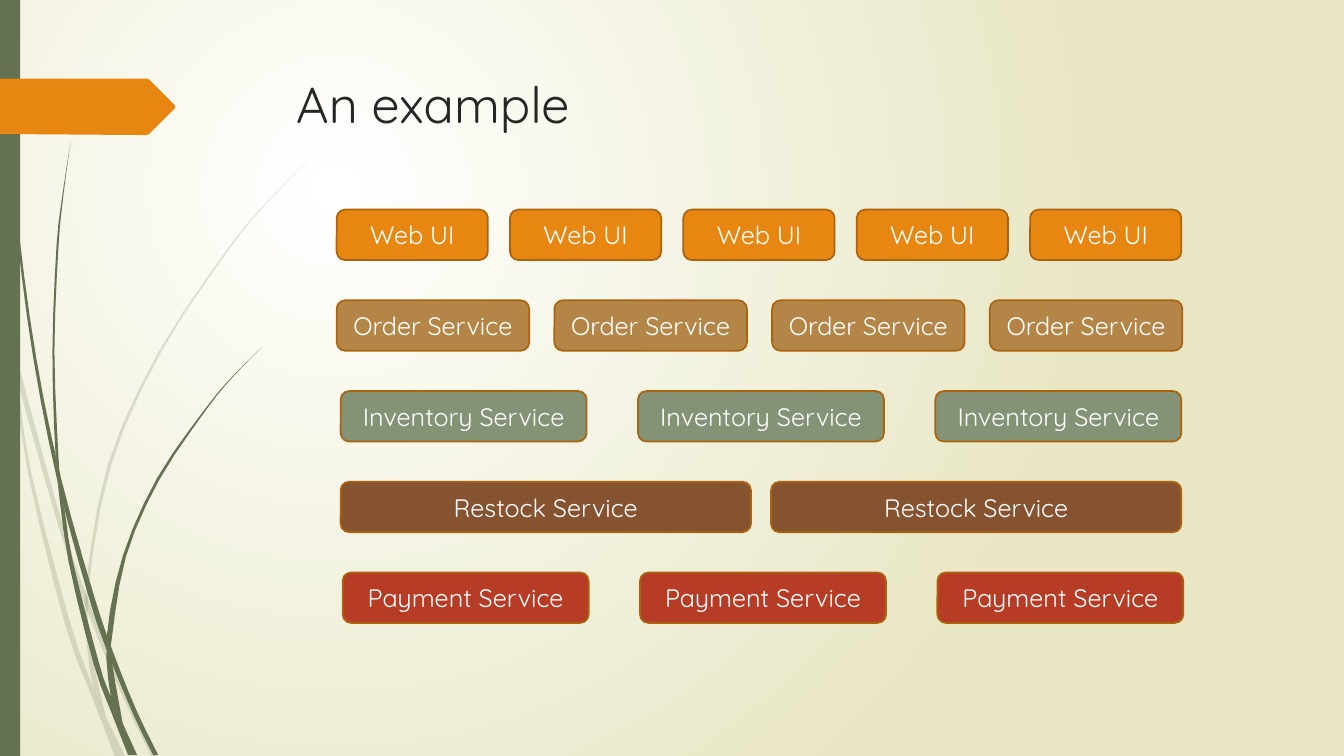
from dataclasses import dataclass

from lxml import etree
from pptx import Presentation
from pptx import util as u
from pptx.dml.color import RGBColor
from pptx.enum import shapes, text
from pptx.oxml.ns import qn
from pptx.slide import Slide

FONT = "Quicksand"
COLOURS = {
    "white": "FFFFFF", "cream": "E8E6C4", "title": "262626", "grass": "647252",
    "orange": "E78712", "border": "AB640D", "tan": "B38648", "sage": "849276",
    "brown": "865331", "red": "B73C26",
}
Points = list[tuple[float, float]]


@dataclass
class Blade:
    """A blade of grass: down one edge, then back up the other."""
    down: Points
    up: Points
    opacity: int = 100


@dataclass
class ServiceRow:
    label: str
    colour: str
    count: int
    left: float
    width: float
    pitch: float


BLADES = [
    # Pale blades
    Blade([(0, 2.82), (0.14, 3.45), (0.62, 5.2), (0.92, 6.07), (1.27, 6.92), (1.55, 7.5)],
          [(1.5, 7.5), (1.23, 6.94), (0.88, 6.1), (0.58, 5.22), (0.17, 3.76), (0, 2.99)], 20),
    Blade([(0.11, 3.5), (0.17, 3.76), (0.31, 4.69), (0.7, 6.19), (0.93, 6.83),
           (1.05, 7.11), (1.24, 7.5)],
          [(1.14, 7.5), (0.92, 6.93), (0.65, 6.21), (0.28, 4.7), (0.11, 3.5)], 20),
    Blade([(3.12, 1.53), (2.68, 1.97), (2.28, 2.44), (1.58, 3.48), (1.07, 4.61),
           (0.85, 5.84), (0.87, 6.46), (0.93, 6.83), (1.05, 7.11)],
          [(1.05, 7.11), (0.91, 6.46), (0.88, 5.84), (1.1, 4.62), (1.6, 3.49),
           (2.29, 2.45), (2.68, 1.98), (3.12, 1.53)], 20),
    # Dark blades
    Blade([(0.04, 0), (0.08, 1.09), (0.19, 2.32), (0.36, 3.55), (0.6, 4.72),
           (0.93, 5.9), (1.13, 6.49), (1.36, 7.06), (1.57, 7.49)],
          [(1.52, 7.49), (1.32, 7.08), (1.06, 6.45), (0.88, 5.92), (0.57, 4.77),
           (0.33, 3.55), (0.17, 2.33), (0.07, 1.1), (0.03, 0)]),
    Blade([(0.57, 4.77), (0.64, 5.05), (0.72, 5.56), (0.98, 6.57), (1.1, 6.91), (1.36, 7.49)],
          [(1.27, 7.49), (1.11, 7.08), (0.93, 6.59), (0.68, 5.57), (0.57, 4.77)]),
    Blade([(0.7, 1.41), (0.62, 1.93), (0.56, 2.45), (0.52, 3.49), (0.55, 4.49), (0.6, 4.72)],
          [(0.6, 4.72), (0.58, 4.53), (0.54, 3.49), (0.58, 2.45), (0.63, 1.93), (0.7, 1.41)]),
    Blade([(2.6, 3.44), (2.31, 3.73), (2.04, 4.05), (1.56, 4.74), (1.22, 5.51),
           (1.06, 6.31), (1.1, 6.91), (1.22, 7.19)],
          [(1.22, 7.19), (1.11, 6.56), (1.11, 6.33), (1.25, 5.52), (1.58, 4.76),
           (2.05, 4.06), (2.31, 3.74), (2.6, 3.44)]),
]
TITLE_ARROW = [(0, 0.78), (1.46, 0.78), (1.48, 0.79), (1.73, 1.04), (1.74, 1.06),
               (1.73, 1.08), (1.48, 1.33), (1.46, 1.34), (1.36, 1.34), (0, 1.33)]
ROWS = [
    ServiceRow("Web UI", "orange", 5, 3.34, 1.5, 1.72),
    ServiceRow("Order Service", "tan", 4, 3.34, 1.91, 2.16),
    ServiceRow("Inventory Service", "sage", 3, 3.38, 2.44, 2.95),
    ServiceRow("Restock Service", "brown", 2, 3.38, 4.07, 4.27),
    ServiceRow("Payment Service", "red", 3, 3.4, 2.44, 2.95),
]
ROW_TOP, ROW_PITCH, BOX_HEIGHT = 2.08, 0.9, 0.5


def rgb(colour: str) -> RGBColor:
    return RGBColor.from_string(COLOURS[colour])


def smooth(points: Points, steps: int = 3) -> Points:
    """Run a Catmull-Rom curve through the points."""
    padded = [points[0], *points, points[-1]]
    curve = [points[0]]
    for quad in zip(padded, padded[1:], padded[2:], padded[3:]):
        for step in range(1, steps + 1):
            t = step / steps
            x, y = (
                (2 * b + (c - a) * t + (2 * a - 5 * b + 4 * c - d) * t ** 2
                 + (3 * b - a - 3 * c + d) * t ** 3) / 2
                for a, b, c, d in zip(*quad)
            )
            curve.append((x, y))
    return curve


def paint(shape, colour: str, border: str | None = None) -> None:
    shape.shadow.inherit = False
    shape.fill.solid()
    shape.fill.fore_color.rgb = rgb(colour)
    if border:
        shape.line.color.rgb = rgb(border)
        shape.line.width = u.Pt(1.25)
    else:
        shape.line.fill.background()


def write(box, words: str, *, size: float, colour: str,
          align=text.PP_ALIGN.LEFT, anchor=text.MSO_ANCHOR.TOP) -> None:
    frame = box.text_frame
    frame.word_wrap = True
    frame.vertical_anchor = anchor
    para = frame.paragraphs[0]
    para.alignment = align
    span = para.add_run()
    span.text = words
    span.font.name = FONT
    span.font.size = u.Pt(size)
    span.font.color.rgb = rgb(colour)


def draw_outline(page: Slide, points: Points, colour: str, opacity: int = 100) -> None:
    corners = [(u.Inches(x), u.Inches(y)) for x, y in points]
    builder = page.shapes.build_freeform(*corners[0])
    builder.add_line_segments(corners[1:], close=True)
    outline = builder.convert_to_shape()
    paint(outline, colour)
    if opacity < 100:
        tint = outline.element.spPr.find(qn("a:solidFill")).find(qn("a:srgbClr"))
        etree.SubElement(tint, qn("a:alpha"), val=str(opacity * 1000))


def draw_background(page: Slide) -> None:
    fill = page.background.fill
    fill.gradient()
    for stop, colour in zip(fill.gradient_stops, ("white", "cream")):
        stop.color.rgb = rgb(colour)
    gradient = page.element.find(".//" + qn("a:gradFill"))
    linear = gradient.find(qn("a:lin"))
    radial = etree.Element(qn("a:path"), path="circle")
    etree.SubElement(radial, qn("a:fillToRect"), l="50000", t="50000", r="100000", b="100000")
    gradient.replace(linear, radial)


def draw_row(page: Slide, row: ServiceRow, top: float) -> None:
    for column in range(row.count):
        box = page.shapes.add_shape(
            shapes.MSO_SHAPE.ROUNDED_RECTANGLE,
            u.Inches(row.left + column * row.pitch), u.Inches(top),
            u.Inches(row.width), u.Inches(BOX_HEIGHT))
        paint(box, row.colour, "border")
        write(box, row.label, size=18, colour="white",
              align=text.PP_ALIGN.CENTER, anchor=text.MSO_ANCHOR.MIDDLE)


def main() -> None:
    deck = Presentation()
    deck.slide_width, deck.slide_height = u.Inches(40 / 3), u.Inches(7.5)
    page = deck.slides.add_slide(deck.slide_layouts[6])

    # Backdrop: gradient, grass, side bar and arrow
    draw_background(page)
    for blade in BLADES:
        draw_outline(page, smooth(blade.down) + smooth(blade.up), "grass", blade.opacity)
    bar = page.shapes.add_shape(shapes.MSO_SHAPE.RECTANGLE, 0, 0, u.Inches(0.2), u.Inches(7.5))
    paint(bar, "grass")
    draw_outline(page, TITLE_ARROW, "orange")

    # Title
    title = page.shapes.add_textbox(u.Inches(2.84), u.Inches(0.68), u.Inches(9.75), u.Inches(1.4))
    write(title, "An example", size=36, colour="title")

    # Service rows
    for index, row in enumerate(ROWS):
        draw_row(page, row, ROW_TOP + index * ROW_PITCH)

    deck.save("out.pptx")


if __name__ == "__main__":
    main()
